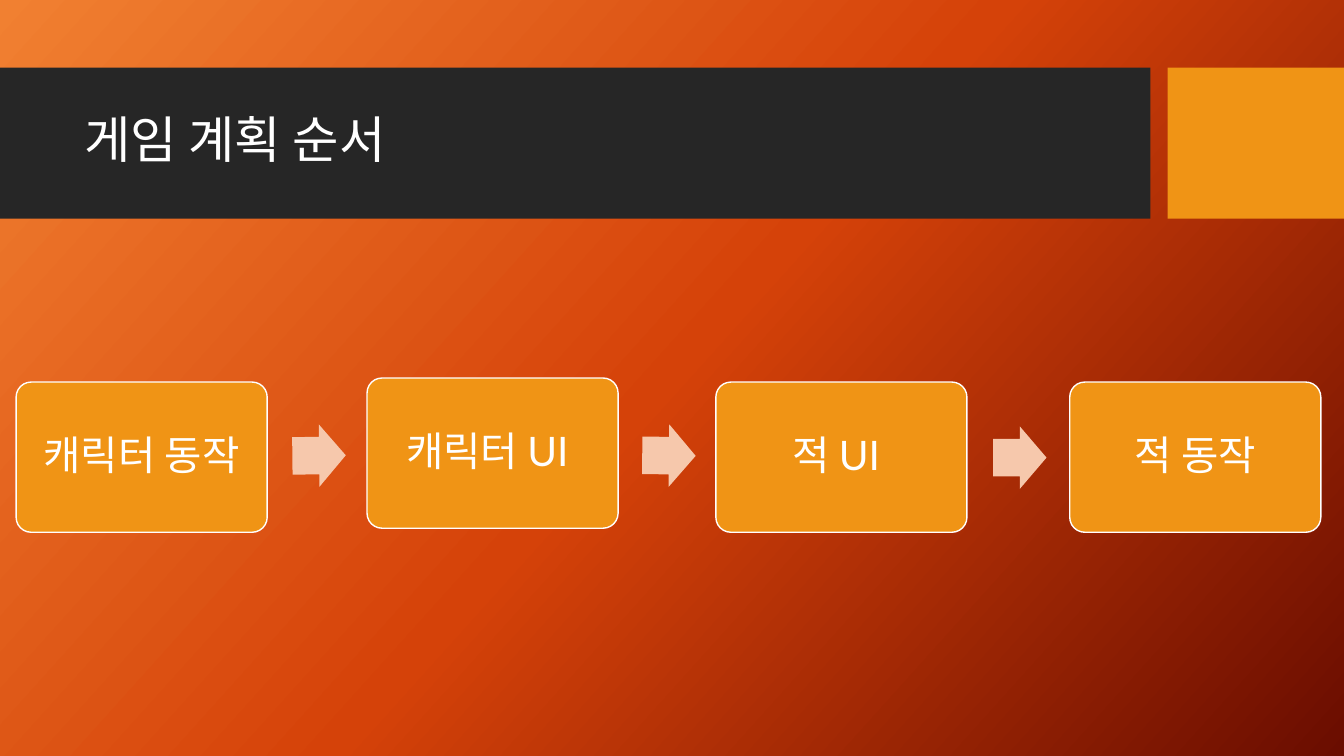
from copy import deepcopy
from dataclasses import dataclass

from pptx import Presentation
from pptx.dml.color import RGBColor
from pptx.enum.shapes import MSO_SHAPE as SHAPE
from pptx.enum.text import MSO_ANCHOR as ANCHOR, PP_ALIGN as ALIGN
from pptx.oxml.ns import qn
from pptx.shapes.autoshape import Shape
from pptx.slide import Slide
from pptx.text.text import TextFrame
from pptx.util import Inches, Pt

FONT = "Lato"
COLORS = {
    "glow": "F18031",
    "flame": "D54209",
    "ember": "6A0D00",
    "band": "262626",
    "accent": "F09415",
    "arrow": "F6C8AC",
    "white": "FFFFFF",
}
STEP_SIZE = (2.49, 1.49)
ARROW_SIZE = (0.53, 0.62)


@dataclass
class Step:
    text: str
    left: float
    top: float = 3.79


@dataclass
class Arrow:
    left: float
    top: float = 4.21
    rotation: float = 0


STEPS = [
    Step("캐릭터 동작", 0.16),
    Step("캐릭터 UI ", 3.64, top=3.75),
    Step("적 UI ", 7.1),
    Step("적 동작", 10.61),
]
ARROWS = [
    Arrow(2.9, rotation=359.4),
    Arrow(6.37, rotation=0.6),
    Arrow(9.85, top=4.23),
]


def rgb(name: str) -> RGBColor:
    return RGBColor.from_string(COLORS[name])


def set_background(s: Slide) -> None:
    """Fill the slide with a three-stop diagonal gradient."""
    fill = s.background.fill
    fill.gradient()
    fill.gradient_angle = 318
    stop_list = next(s.element.iter(qn("a:gsLst")))
    stop_list.append(deepcopy(stop_list[-1]))
    stops = zip(fill.gradient_stops, ("glow", "flame", "ember"), (0, 0.5, 1))
    for stop, color, position in stops:
        stop.color.rgb = rgb(color)
        stop.position = position


def add_filled(s: Slide, kind: SHAPE, left: float, top: float,
               width: float, height: float, color: str) -> Shape:
    sp = s.shapes.add_shape(kind, Inches(left), Inches(top),
                            Inches(width), Inches(height))
    sp.shadow.inherit = False
    sp.fill.solid()
    sp.fill.fore_color.rgb = rgb(color)
    sp.line.fill.background()
    return sp


def write(tf: TextFrame, text: str, size: float, align: ALIGN) -> None:
    tf.text = text
    tf.word_wrap = True
    tf.vertical_anchor = ANCHOR.MIDDLE
    p = tf.paragraphs[0]
    p.alignment = align
    p.line_spacing = 0.9
    font = p.runs[0].font
    font.name = FONT
    font.size = Pt(size)
    font.color.rgb = rgb("white")


def add_step(s: Slide, step: Step) -> None:
    sp = add_filled(s, SHAPE.ROUNDED_RECTANGLE, step.left, step.top,
                    *STEP_SIZE, "accent")
    sp.adjustments[0] = 0.1
    sp.line.color.rgb = rgb("white")
    sp.line.width = Pt(1)
    tf = sp.text_frame
    tf.margin_left = tf.margin_right = Inches(0.12)
    tf.margin_top = tf.margin_bottom = Inches(0.12)
    write(tf, step.text, 29, ALIGN.CENTER)


def add_arrow(s: Slide, arrow: Arrow) -> None:
    sp = add_filled(s, SHAPE.RIGHT_ARROW, arrow.left, arrow.top,
                    *ARROW_SIZE, "arrow")
    sp.adjustments[0] = 0.6
    sp.adjustments[1] = 0.5
    sp.rotation = arrow.rotation


def add_title(s: Slide, text: str) -> None:
    """Draw the title band, its accent block and the title text."""
    add_filled(s, SHAPE.RECTANGLE, 0, 0.67, 11.41, 1.5, "band")
    add_filled(s, SHAPE.RECTANGLE, 11.58, 0.67, 1.75, 1.5, "accent")
    box = s.shapes.add_textbox(Inches(0.74), Inches(0.82),
                               Inches(10.51), Inches(1.18))
    write(box.text_frame, text, 36, ALIGN.LEFT)


def main() -> None:
    prs = Presentation()
    prs.slide_width = Inches(13.33)
    prs.slide_height = Inches(7.5)
    s = prs.slides.add_slide(prs.slide_layouts[6])
    set_background(s)
    add_title(s, "게임 계획 순서")
    for step in STEPS:
        add_step(s, step)
    for arrow in ARROWS:
        add_arrow(s, arrow)
    prs.save("out.pptx")


if __name__ == "__main__":
    main()
